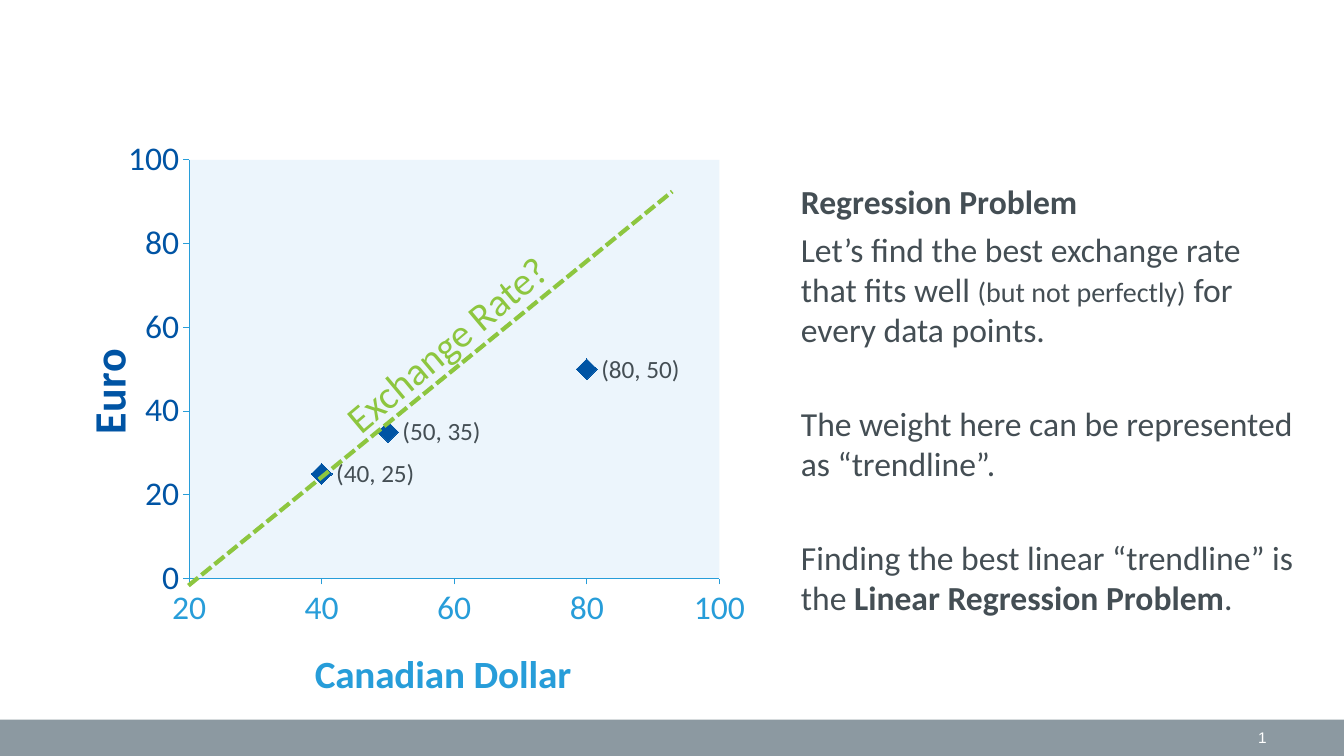
from lxml import etree
from pptx import Presentation
from pptx import oxml
from pptx.chart import data as chart_data
from pptx.dml.color import RGBColor
from pptx.enum import chart as charts, dml, shapes, text
from pptx.oxml import ns
from pptx.util import Pt

COLORS = {"bar": "8C99A1", "white": "FFFFFF", "dollar": "279DD9", "euro": "0054A4",
          "plot": "ECF5FC", "trend": "8DC63F", "body": "444E54"}


def style(font, color, **values):
    for name, value in {"name": "Calibri", "bold": False, **values}.items():
        setattr(font, name, value)
    font.color.rgb = RGBColor.from_string(COLORS[color])


def place(parent, index, **values):
    for old in parent.findall(ns.qn("c:layout")):
        parent.remove(old)
    layout = oxml.parse_xml(f"<c:layout {ns.nsdecls('c')}><c:manualLayout/></c:layout>")
    for name, value in values.items():
        etree.SubElement(layout[0], ns.qn(f"c:{name}")).set("val", str(value))
    parent.insert(index, layout)


deck = Presentation()
deck.slide_width, deck.slide_height = Pt(960), Pt(540)
page = deck.slides.add_slide(deck.slide_layouts[6])

bar = page.shapes.add_shape(shapes.MSO_SHAPE.RECTANGLE, 0, Pt(514), Pt(960), Pt(26))
bar.shadow.inherit = False
bar.fill.solid()
bar.fill.fore_color.rgb = RGBColor.from_string(COLORS["bar"])
bar.line.fill.background()

number_box = page.shapes.add_textbox(Pt(688), Pt(514), Pt(224), Pt(26))
number_box.text_frame.vertical_anchor = text.MSO_ANCHOR.MIDDLE
para = number_box.text_frame.paragraphs[0]
para.alignment = text.PP_ALIGN.RIGHT
span = para.add_run()
span.text = "9"
style(span.font, "white", name="Arial", size=Pt(11))
span._r.tag = ns.qn("a:fld")
span._r.set("id", "{B6F15528-21DE-4FAA-801E-634DDDAF4B2B}")
span._r.set("type", "slidenum")

points = [(40, 25), (50, 35), (80, 50)]
rates = chart_data.XyChartData()
series_data = rates.add_series("Series 1")
for dollars, euros in points:
    series_data.add_data_point(dollars, euros)
chart = page.shapes.add_chart(charts.XL_CHART_TYPE.XY_SCATTER, Pt(34), Pt(66.2),
                              Pt(510.5), Pt(441.4), rates).chart
chart.has_legend = chart.has_title = False
style(chart.font, "dollar", size=Pt(18))
chart.plots[0].vary_by_categories = False

axes = [(chart.category_axis, "Canadian Dollar", "dollar", 28, 20, 0.364, 0.904),
        (chart.value_axis, "Euro", "euro", 32, 0, 0.03, 0.41)]
for axis, title, color, size, minimum, left, top in axes:
    settings = {"minimum_scale": minimum, "maximum_scale": 100, "major_unit": 20,
                "has_major_gridlines": False,
                "major_tick_mark": charts.XL_TICK_MARK.OUTSIDE}
    for name, value in settings.items():
        setattr(axis, name, value)
    style(axis.tick_labels.font, color, size=Pt(24))
    axis.format.line.width = Pt(0.75)
    axis.format.line.color.rgb = RGBColor.from_string(COLORS["dollar"])
    axis.axis_title.text_frame.text = title
    span = axis.axis_title.text_frame.paragraphs[0].runs[0]
    style(span.font, color, size=Pt(size), bold=True)
    place(axis.axis_title._element, 1, xMode="edge", yMode="edge", x=left, y=top)

plot_area = chart._chartSpace.chart.plotArea
place(plot_area, 0, layoutTarget="inner", xMode="edge", yMode="edge",
      x=0.198, y=0.111, w=0.742, h=0.69)
plot_area.append(oxml.parse_xml(
    f"<c:spPr {ns.nsdecls('c', 'a')}><a:solidFill>"
    f"<a:srgbClr val='{COLORS['plot']}'/></a:solidFill></c:spPr>"))

series = chart.plots[0].series[0]
series.format.line.fill.background()
series.marker.style = charts.XL_MARKER_STYLE.DIAMOND
series.marker.size = 15
series.marker.format.fill.solid()
for paint in (series.marker.format.fill.fore_color, series.marker.format.line.color):
    paint.rgb = RGBColor.from_string(COLORS["euro"])
for index, (dollars, euros) in enumerate(points):
    label = series.points[index].data_label
    label.text_frame.text = f"({dollars}, {euros})"
    style(label.text_frame.paragraphs[0].runs[0].font, "body", size=Pt(18))
    label.position = charts.XL_LABEL_POSITION.RIGHT

trend = page.shapes.add_connector(shapes.MSO_CONNECTOR.STRAIGHT,
                                  Pt(134.6), Pt(418.3), Pt(480.2), Pt(136.8))
trend.line.color.rgb = RGBColor.from_string(COLORS["trend"])
trend.line.width = Pt(3)
trend.line.dash_style = dml.MSO_LINE.SQUARE_DOT
etree.SubElement(trend._element.spPr, ns.qn("a:effectLst"))

rate_box = page.shapes.add_textbox(Pt(213), Pt(197.3), Pt(277), Pt(41))
rate_box.rotation = 320
rate_box.text_frame.word_wrap = True
span = rate_box.text_frame.paragraphs[0].add_run()
span.text = "Exchange Rate?"
style(span.font, "trend", size=Pt(28))

body_box = page.shapes.add_textbox(Pt(565), Pt(126), Pt(369.5), Pt(327))
body_box.text_frame.word_wrap = True
paragraphs = [
    (0, [("Regression Problem", 24, True)]),
    (5, [("Let’s find the best exchange rate that fits well ", 24, False),
         ("(but not perfectly)", 20, False),
         (" for every data points.", 24, False)]),
    (38, [("The weight here can be represented as “trendline”.", 24, False)]),
    (38, [("Finding the best linear “trendline” is the ", 24, False),
          ("Linear Regression Problem", 24, True),
          (".", 24, False)]),
]
for index, (gap, spans) in enumerate(paragraphs):
    frame = body_box.text_frame
    para = frame.add_paragraph() if index else frame.paragraphs[0]
    if gap:
        para.space_before = Pt(gap)
    for words, size, bold in spans:
        span = para.add_run()
        span.text = words
        style(span.font, "body", size=Pt(size), bold=bold)

deck.save("out.pptx")
